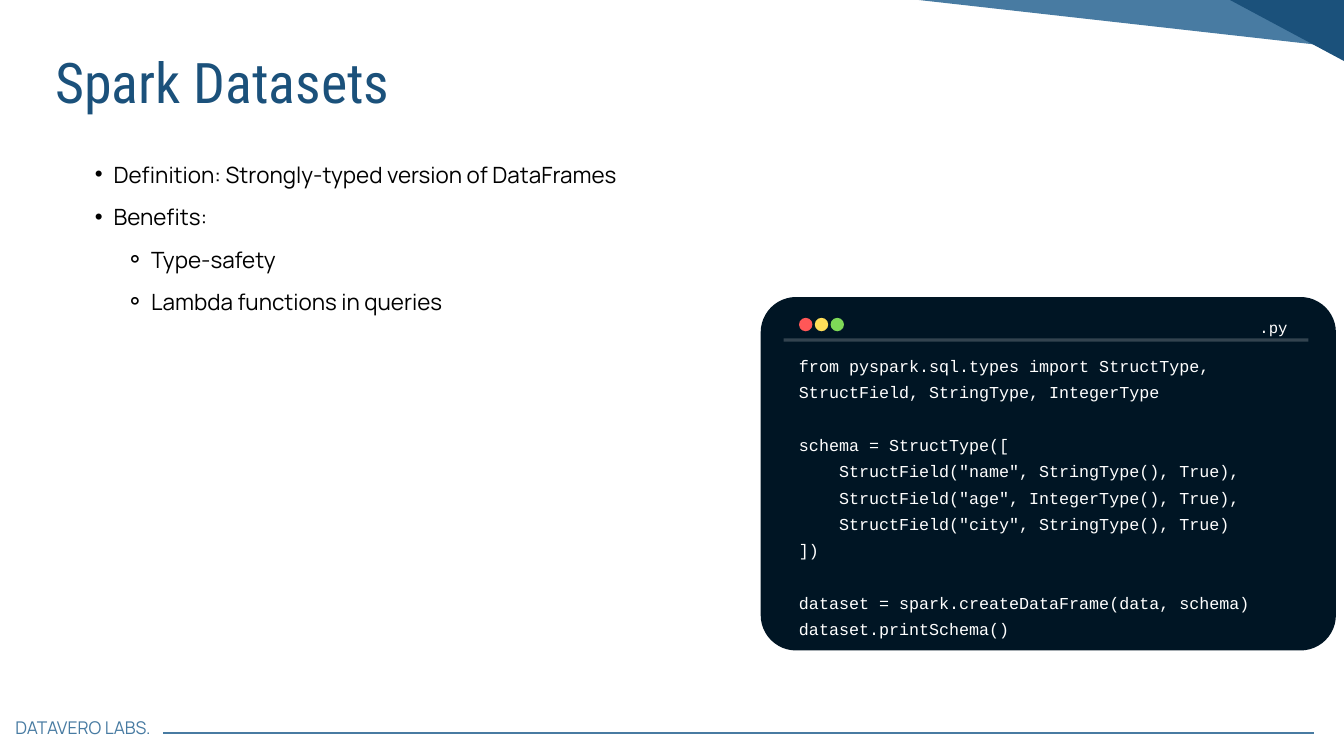
"""Build the Spark Datasets slide with its bullet list and code window."""
from lxml.etree import SubElement
from pptx import Presentation
from pptx.dml.color import RGBColor
from pptx.enum.shapes import MSO_CONNECTOR, MSO_SHAPE
from pptx.enum.text import MSO_ANCHOR, MSO_AUTO_SIZE, PP_ALIGN
from pptx.oxml.ns import qn
from pptx.util import Inches, Pt

DARK_BLUE, MID_BLUE, NAVY = "1B517B", "487BA2", "001524"
WHITE, BLACK = "FFFFFF", "000000"

TITLE = "Spark Datasets"
FOOTER = "DATAVERO LABS."
FILE_TYPE = ".py"
BULLETS = [
    (1, "Definition: Strongly-typed version of DataFrames"),
    (1, "Benefits:"),
    (2, "Type-safety"),
    (2, "Lambda functions in queries"),
]
BULLET_STYLES = {1: ("•", 0.57, -0.28), 2: ("⚬", 1.13, -0.38)}
CODE_BLOCKS = [
    ["from pyspark.sql.types import StructType, StructField, StringType, IntegerType"],
    [
        "schema = StructType([",
        '    StructField("name", StringType(), True),',
        '    StructField("age", IntegerType(), True),',
        '    StructField("city", StringType(), True)',
        "])",
    ],
    ["dataset = spark.createDataFrame(data, schema)", "dataset.printSchema()"],
]
CORNER_BANDS = [
    (MID_BLUE, [(20.14, 0.13), (20.08, 0.72), (13.49, -0.02), (13.56, -0.61)]),
    (DARK_BLUE, [(18.21, -0.05), (18.63, -0.83), (20.48, 0.16), (20.06, 0.94)]),
]
WINDOW_BUTTONS = ["FF5757", "FFDE59", "7ED957"]
CODE_LINE = 28.2


def color(value):
    return RGBColor.from_string(value)


def paint(shape, fill):
    shape.shadow.inherit = False
    shape.fill.solid()
    shape.fill.fore_color.rgb = color(fill)
    shape.line.fill.background()


def place(shape, box):
    shape.left, shape.top, shape.width, shape.height = map(Inches, box)
    frame = shape.text_frame
    frame.margin_left = frame.margin_top = frame.margin_right = frame.margin_bottom = 0
    frame.word_wrap = True
    frame.auto_size = MSO_AUTO_SIZE.NONE
    frame.vertical_anchor = MSO_ANCHOR.TOP
    return frame


def write(paragraph, text, font, size, fill, spacing, align=PP_ALIGN.LEFT, before=0):
    paragraph.alignment = align
    paragraph.line_spacing = Pt(spacing)
    paragraph.space_before = Pt(before)
    run = paragraph.add_run()
    run.text = text
    run.font.name = font
    run.font.size = Pt(size)
    run.font.color.rgb = color(fill)


def paragraphs(frame, count):
    return [frame.paragraphs[0]] + [frame.add_paragraph() for _ in range(count - 1)]


def add_text(slide, box, *style):
    frame = place(slide.shapes.add_textbox(0, 0, 0, 0), box)
    write(frame.paragraphs[0], *style)


def add_rule(slide, left, right, top, fill, width, opacity=100):
    rule = slide.shapes.add_connector(
        MSO_CONNECTOR.STRAIGHT, Inches(left), Inches(top), Inches(right), Inches(top))
    rule.line.color.rgb = color(fill)
    rule.line.width = Pt(width)
    properties = rule._element.spPr
    if opacity < 100:
        tint = properties.find(".//" + qn("a:srgbClr"))
        SubElement(tint, qn("a:alpha"), val=str(opacity * 1000))
    SubElement(properties, qn("a:effectLst"))


def add_corner_bands(slide):
    for fill, points in CORNER_BANDS:
        corners = [(Inches(x), Inches(y)) for x, y in points]
        builder = slide.shapes.build_freeform(*corners[0])
        builder.add_line_segments(corners[1:], close=True)
        paint(builder.convert_to_shape(), fill)


def add_bullets(slide):
    frame = place(slide.placeholders[1], (1.12, 2.16, 14.91, 2.46))
    for paragraph, (level, text) in zip(paragraphs(frame, len(BULLETS)), BULLETS):
        symbol, margin, indent = BULLET_STYLES[level]
        paragraph.level = level
        properties = paragraph._p.get_or_add_pPr()
        properties.set("marL", str(Inches(margin)))
        properties.set("indent", str(Inches(indent)))
        SubElement(properties, qn("a:buFont"), typeface="Arial")
        SubElement(properties, qn("a:buChar"), char=symbol)
        write(paragraph, text, "Manrope", 24, BLACK, 45.6)


def add_code_window(slide):
    window = slide.shapes.add_shape(
        MSO_SHAPE.ROUNDED_RECTANGLE, *map(Inches, (11.32, 4.42, 8.56, 5.26)))
    window.adjustments[0] = 0.1
    paint(window, NAVY)
    add_rule(slide, 11.66, 19.47, 5.06, WHITE, 3.42, opacity=20)

    lines = [(text, CODE_LINE if block and not row else 0)
             for block, texts in enumerate(CODE_BLOCKS) for row, text in enumerate(texts)]
    frame = place(slide.shapes.add_textbox(0, 0, 0, 0), (11.89, 5.2, 7.27, 4.14))
    for paragraph, (text, before) in zip(paragraphs(frame, len(lines)), lines):
        write(paragraph, text, "Courier New", 17.9, WHITE, CODE_LINE, before=before)

    for index, fill in enumerate(WINDOW_BUTTONS):
        button = slide.shapes.add_shape(
            MSO_SHAPE.OVAL, *map(Inches, (11.89 + index * 0.235, 4.73, 0.2, 0.2)))
        paint(button, fill)
    add_text(slide, (14.83, 4.65, 4.33, 0.32),
             FILE_TYPE, "Courier New", 16.7, WHITE, 26.4, PP_ALIGN.RIGHT)


def main():
    presentation = Presentation()
    presentation.slide_width, presentation.slide_height = Inches(20), Inches(11.25)
    slide = presentation.slides.add_slide(presentation.slide_layouts[1])

    title = place(slide.shapes.title, (0.82, 0.71, 18.26, 1.02))
    write(title.paragraphs[0], TITLE, "Roboto Condensed", 60, DARK_BLUE, 72)
    add_bullets(slide)
    add_corner_bands(slide)
    add_text(slide, (0.23, 10.67, 2.2, 0.33), FOOTER, "Manrope", 18.8, MID_BLUE, 22.6)
    add_rule(slide, 2.43, 19.56, 10.91, MID_BLUE, 1.5)
    add_code_window(slide)
    presentation.save("out.pptx")


if __name__ == "__main__":
    main()
